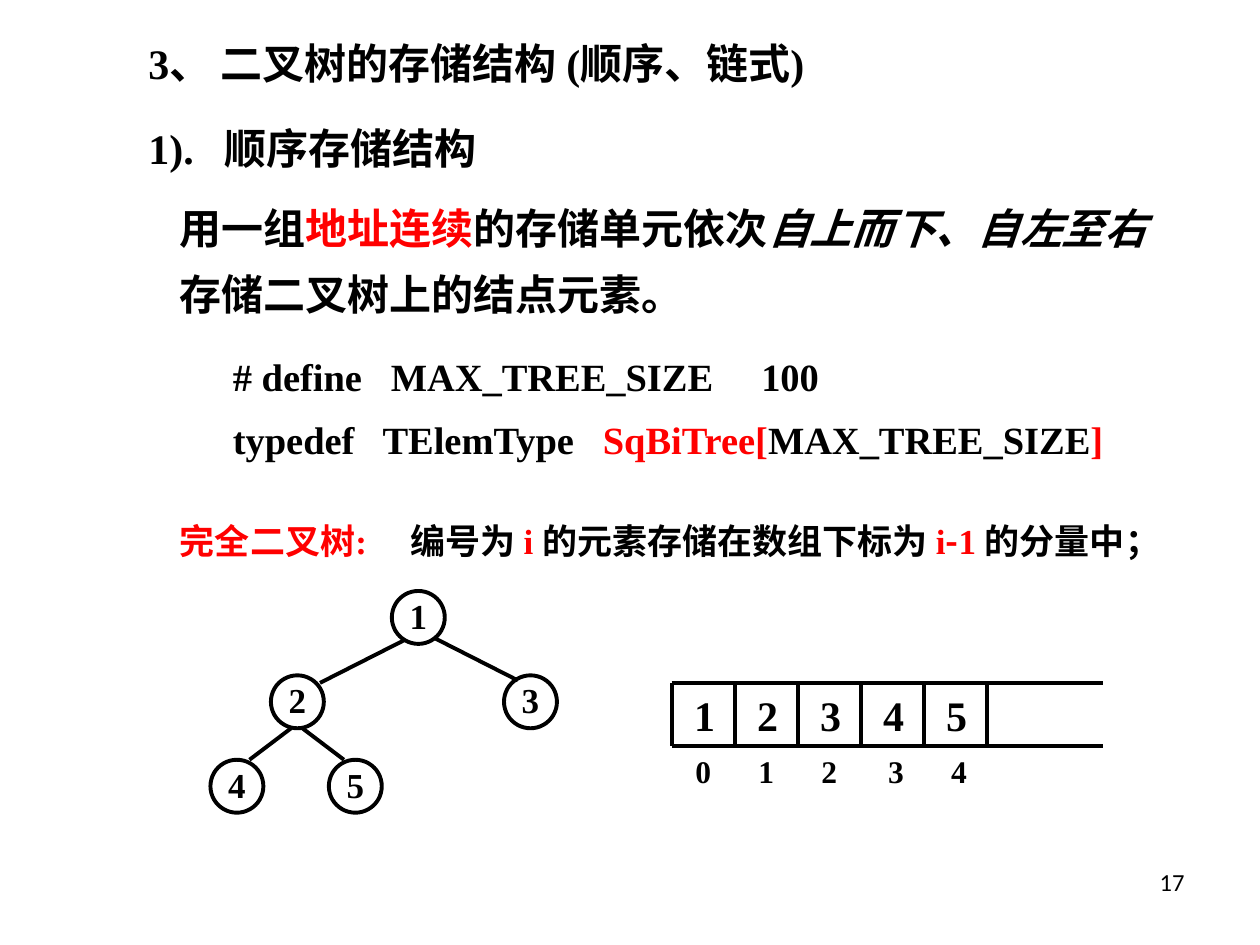
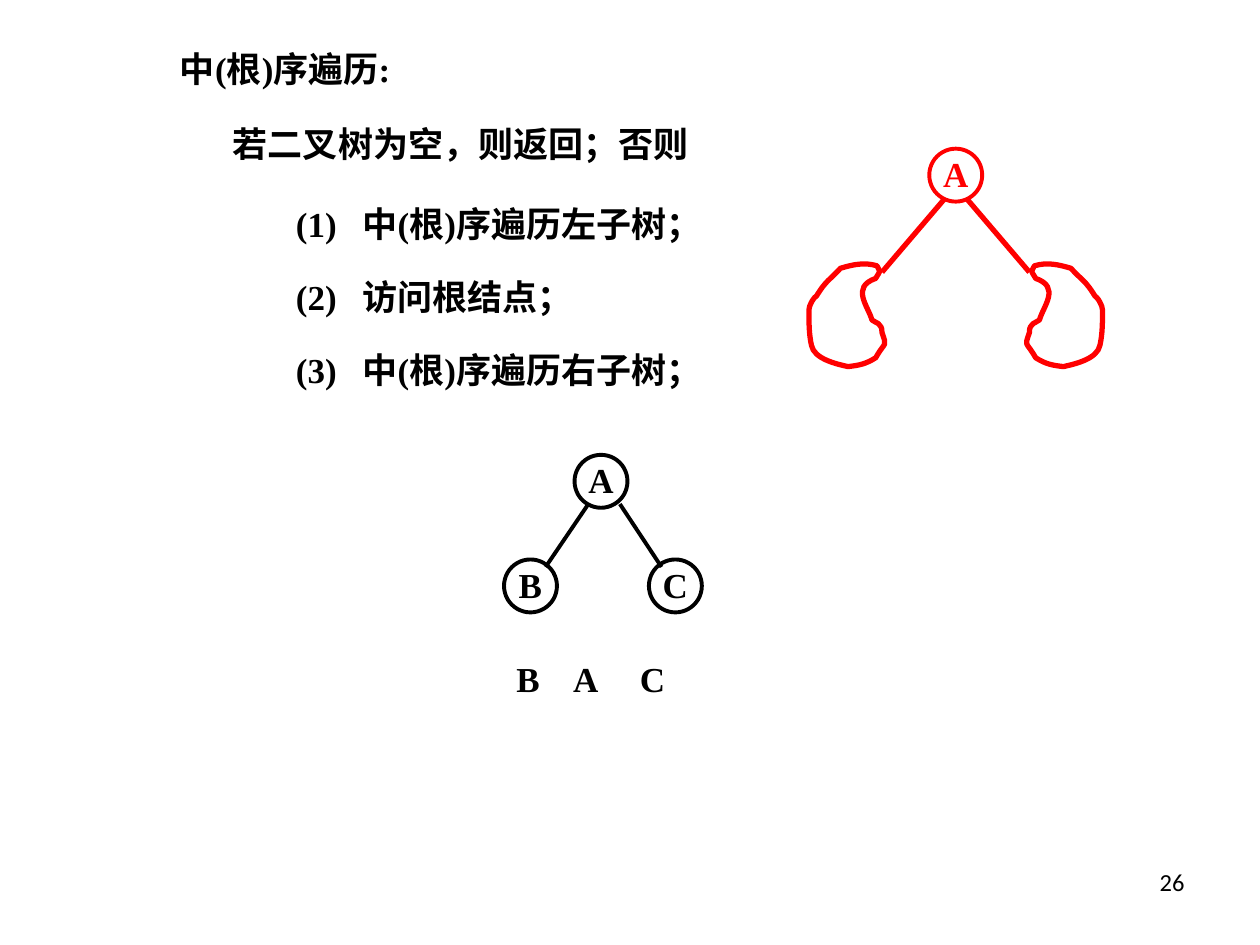
from lxml.etree import SubElement
from pptx import Presentation
from pptx.dml.color import RGBColor
from pptx.enum.shapes import MSO_CONNECTOR, MSO_SHAPE
from pptx.enum.text import MSO_ANCHOR, PP_ALIGN
from pptx.oxml.ns import qn
from pptx.util import Inches, Pt

BLACK = "000000"
RED = "FF0000"
SERIF = "Times New Roman"
SANS = "Calibri"
CJK = "Noto Sans CJK SC"
NODE_SIZE = 0.42


def color(value):
    return RGBColor.from_string(value)


def format_run(run, size, ink=BLACK, italic=None, face=SERIF, bold=True):
    run.font.size = Pt(size)
    run.font.bold = bold
    run.font.italic = italic
    run.font.name = face
    run.font.color.rgb = color(ink)
    SubElement(run._r.get_or_add_rPr(), qn("a:ea")).set("typeface", SANS)


def add_tabs(paragraph, stops):
    tab_list = SubElement(paragraph._p.get_or_add_pPr(), qn("a:tabLst"))
    for stop in stops:
        SubElement(tab_list, qn("a:tab"), pos=str(Inches(stop)), algn="l")


def add_text(slide, box, paragraphs, size, tabs=(), space=None, spacing=None):
    shape = slide.shapes.add_textbox(*map(Inches, box))
    frame = shape.text_frame
    frame.word_wrap = True
    for index, runs in enumerate(paragraphs):
        paragraph = frame.add_paragraph() if index else frame.paragraphs[0]
        paragraph._p.get_or_add_pPr().set("hangingPunct", "0")
        if index and space:
            paragraph.space_before = Pt(space)
        if spacing:
            paragraph.line_spacing = spacing
        if tabs:
            add_tabs(paragraph, tabs)
        for text, *style in runs:
            run = paragraph.add_run()
            run.text = text
            format_run(run, size, *style)
    return frame


def add_page_number(slide, number):
    frame = add_text(slide, (7.17, 6.83, 2.33, 0.52),
                     [[(number, BLACK, None, SANS, False)]], 14)
    frame.paragraphs[0].alignment = PP_ALIGN.RIGHT


def add_line(slide, start, end, ink=BLACK, width=2.25):
    connector = slide.shapes.add_connector(
        MSO_CONNECTOR.STRAIGHT, *map(Inches, (*start, *end)))
    connector.line.color.rgb = color(ink)
    connector.line.width = Pt(width)
    SubElement(connector._element.spPr, qn("a:effectLst"))


def outline(shape, ink, width):
    shape.shadow.inherit = False
    shape.fill.background()
    shape.line.color.rgb = color(ink)
    shape.line.width = Pt(width)


def add_node(slide, label, left, top, ink=BLACK):
    node = slide.shapes.add_shape(
        MSO_SHAPE.OVAL, *map(Inches, (left, top, NODE_SIZE, NODE_SIZE)))
    outline(node, ink, 2.25)
    frame = node.text_frame
    frame.margin_left = frame.margin_right = frame.margin_top = 0
    frame.margin_bottom = Inches(0.03)
    frame.word_wrap = False
    frame.vertical_anchor = MSO_ANCHOR.MIDDLE
    frame.text = label
    frame.paragraphs[0].alignment = PP_ALIGN.CENTER
    format_run(frame.paragraphs[0].runs[0], 20, ink)


def add_tree(slide, left, top, nodes, edges):
    for x1, y1, x2, y2 in edges:
        add_line(slide, (left + x1, top + y1), (left + x2, top + y2))
    for label, x, y in nodes:
        add_node(slide, label, left + x, top + y)


def add_array(slide, left, top, width, values):
    cell = 0.5
    for y in (top, top + cell):
        add_line(slide, (left, y), (left + width, y))
    for index in range(len(values) + 1):
        x = left + index * cell
        add_line(slide, (x, top), (x, top + cell))
    for index, value in enumerate(values):
        add_text(slide, (left + 0.08 + index * cell, top, 0.75, cell),
                 [[(value,)]], 24)
    indices = "\t".join(str(index) for index in range(len(values)))
    add_text(slide, (left + 0.09, top + cell, 3.42, 0.44), [[(indices,)]], 18,
             tabs=(0.5, 1, 1.53, 2.03))


SUBTREE_START = (0.54, 0.03)
SUBTREE_CURVES = [
    ((0.44, 0), (0.35, 0.02), (0.25, 0.05)),
    ((0.16, 0.15), (0.14, 0.14), (0.06, 0.27)),
    ((0.04, 0.28), (0.02, 0.32), (0.02, 0.32)),
    ((0.01, 0.34), (0, 0.36), (0, 0.38)),
    ((0, 0.48), (0, 0.57), (0.02, 0.66)),
    ((0.04, 0.77), (0.22, 0.81), (0.31, 0.83)),
    ((0.4, 0.82), (0.45, 0.81), (0.53, 0.76)),
    ((0.61, 0.62), (0.62, 0.68), (0.58, 0.56)),
    ((0.58, 0.54), (0.58, 0.52), (0.56, 0.5)),
    ((0.55, 0.48), (0.52, 0.48), (0.5, 0.46)),
    ((0.47, 0.35), (0.33, 0.2), (0.53, 0.13)),
    ((0.57, 0.06), (0.57, 0.09), (0.54, 0.03)),
]


def bend_segments(shape):
    segments = list(shape._element.iter(qn("a:lnTo")))
    for index in range(0, len(segments), 3):
        first, *others = segments[index:index + 3]
        first.tag = qn("a:cubicBezTo")
        for other in others:
            first.append(other[0])
            other.getparent().remove(other)


def add_subtree(slide, left, top, direction):
    points = [SUBTREE_START] + [point for curve in SUBTREE_CURVES for point in curve]
    points = [(Inches(left + direction * x), Inches(top + y)) for x, y in points]
    builder = slide.shapes.build_freeform(*points[0])
    builder.add_line_segments(points[1:], close=False)
    shape = builder.convert_to_shape()
    bend_segments(shape)
    outline(shape, RED, 3)


def add_recursive_tree(slide, left, top, width):
    center = left + width / 2
    for edge, direction in ((left, 1), (left + width, -1)):
        add_subtree(slide, edge, top + 0.9, direction)
        add_line(slide, (edge + direction * 0.58, top + 0.98),
                 (center - direction * 0.09, top + 0.4), RED, 3)
    add_node(slide, "A", center - NODE_SIZE / 2, top, RED)


def build_storage_slide(slide):
    add_page_number(slide, "17")
    add_text(slide, (1.08, 0.25, 7.17, 0.5),
             [[("3、 二叉树的存储结构 (顺序、链式)",)]], 24)
    add_text(slide, (1.08, 0.92, 4.42, 0.5), [[("1).\t顺序存储结构",)]], 24,
             tabs=(0.6,))
    add_text(slide, (1.33, 1.44, 7.92, 1.14), [[
        ("用一组",), ("地址连续", RED), ("的存储单元依次",),
        ("自上而下、自左至右", BLACK, True), ("存储二叉树上的结点元素。",),
    ]], 24, spacing=1.3)
    add_text(slide, (1.75, 2.75, 7.5, 0.97), [
        [("# define   MAX_TREE_SIZE     100",)],
        [("typedef   TElemType   ",), ("SqBiTree[", RED),
         ("MAX_TREE_SIZE",), ("]", RED)],
    ], 22, space=9.6)
    add_text(slide, (1.33, 4.07, 8, 0.44), [[
        ("完全二叉树:\t", RED), ("编号为 ",), ("i ", RED),
        ("的元素存储在数组下标为 ",), ("i", RED), ("-", RED, None, CJK),
        ("1 ", RED), ("的分量中；",),
    ]], 20, tabs=(1.83,))
    add_tree(slide, 1.67, 4.69,
             [("1", 1.44, 0), ("2", 0.48, 0.67), ("3", 2.33, 0.67),
              ("4", 0, 1.34), ("5", 0.94, 1.34)],
             [(1.54, 0.39, 0.87, 0.73), (1.77, 0.37, 2.44, 0.71),
              (0.64, 1.09, 0.31, 1.34), (0.73, 1.09, 1.06, 1.34)])
    add_array(slide, 5.33, 5.42, 3.42, "12345")


def build_traversal_slide(slide):
    add_page_number(slide, "26")
    add_text(slide, (1.33, 0.33, 6.92, 0.44), [[("中(根)序遍历:",)]], 20)
    add_text(slide, (1.75, 0.92, 5.75, 0.44),
             [[("若二叉树为空，则返回；否则",)]], 20)
    steps = ("中(根)序遍历左子树；", "访问根结点；", "中(根)序遍历右子树；")
    for index, step in enumerate(steps):
        add_text(slide, (2.25, 1.56 + index * 0.58, 5.17, 0.44),
                 [[(f"({index + 1})\t{step}",)]], 20, tabs=(0.53,))
    add_recursive_tree(slide, 6.42, 1.18, 2.33)
    add_tree(slide, 4, 3.61,
             [("A", 0.56, 0), ("B", 0, 0.83), ("C", 1.15, 0.83)],
             [(0.67, 0.39, 0.33, 0.89), (0.92, 0.39, 1.25, 0.89)])
    add_text(slide, (4, 5.17, 2.83, 0.44), [[("B\tA\tC",)]], 20,
             tabs=(0.45, 0.98))


def main():
    presentation = Presentation()
    presentation.slide_width = Inches(10)
    presentation.slide_height = Inches(7.5)
    for build in (build_storage_slide, build_traversal_slide):
        build(presentation.slides.add_slide(presentation.slide_layouts[6]))
    presentation.save("out.pptx")


if __name__ == "__main__":
    main()
